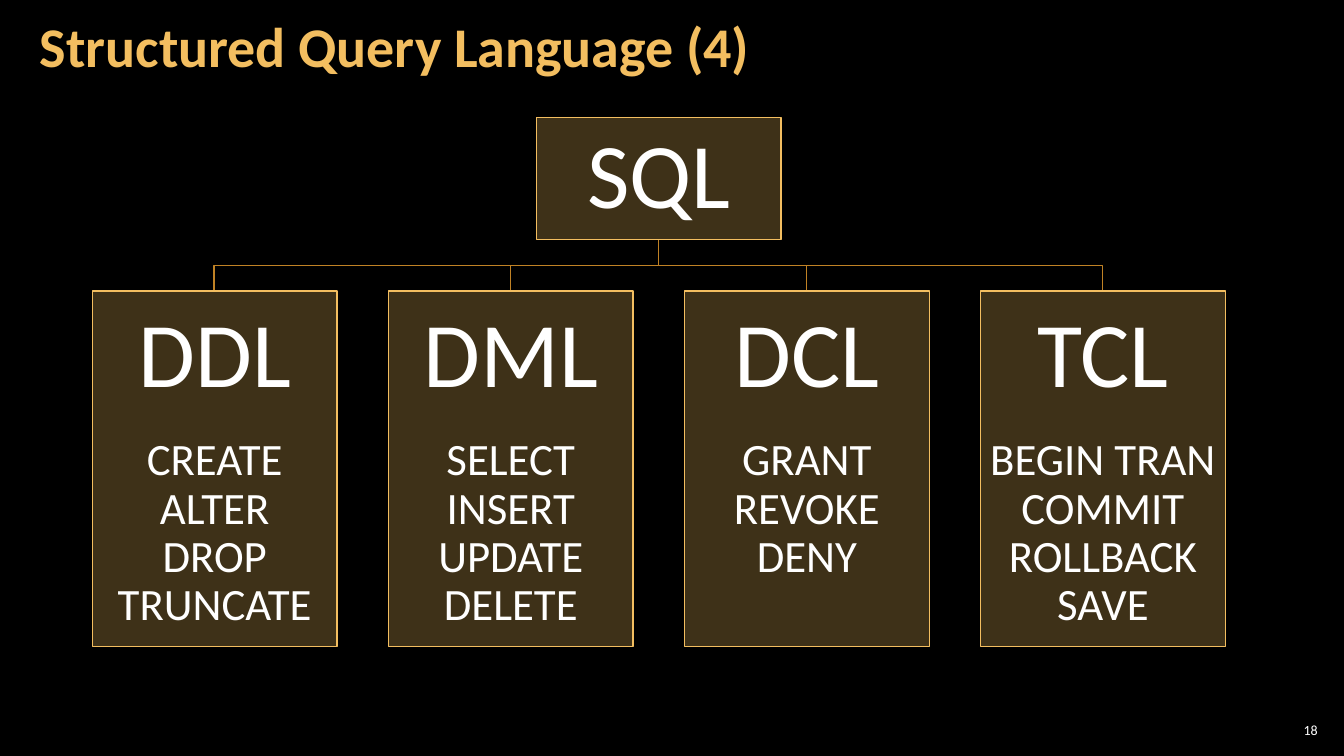
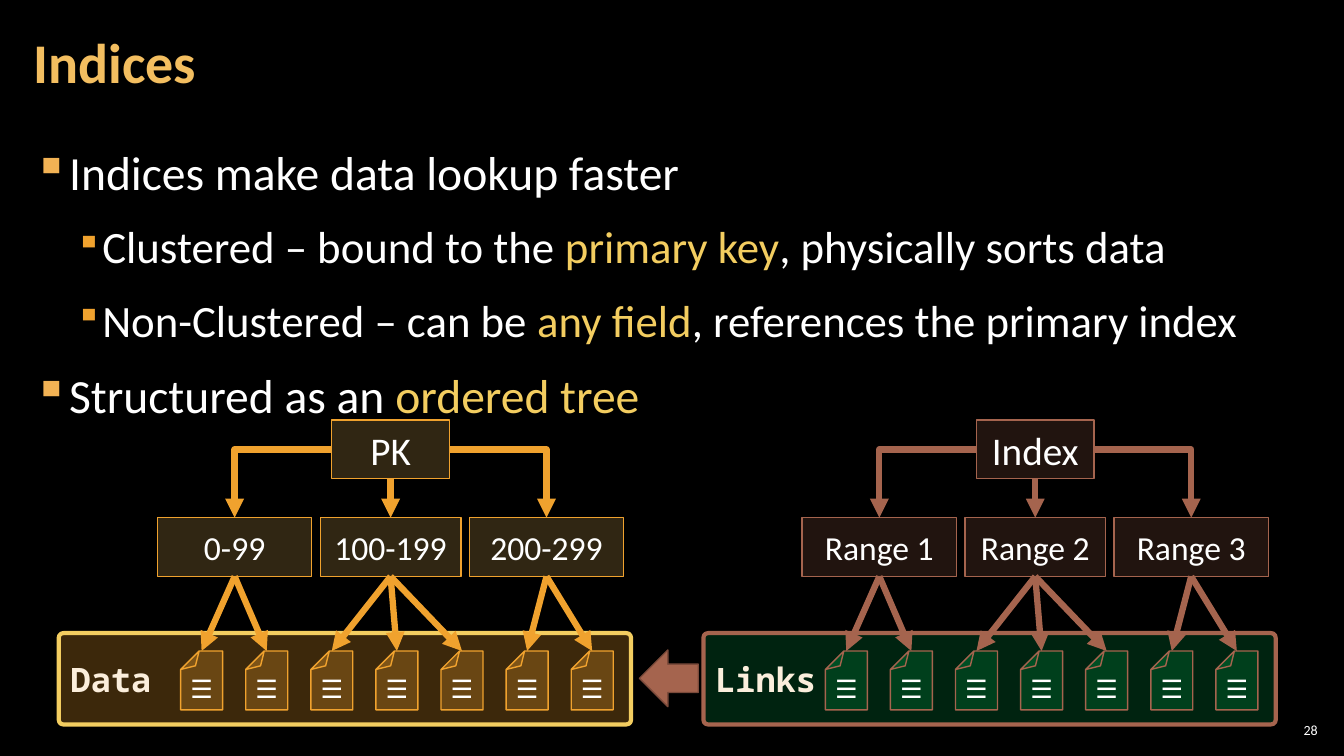
from lxml.etree import SubElement
from pptx import Presentation
from pptx.dml.color import RGBColor
from pptx.enum.shapes import MSO_CONNECTOR, MSO_SHAPE
from pptx.enum.text import MSO_ANCHOR, PP_ALIGN
from pptx.oxml.ns import qn
from pptx.util import Pt

PX = 9525

BLACK = RGBColor(0x00, 0x00, 0x00)
WHITE = RGBColor(0xFF, 0xFF, 0xFF)
GOLD = RGBColor(0xF3, 0xBE, 0x60)
AMBER = RGBColor(0xF0, 0xA2, 0x2E)
YELLOW = RGBColor(0xF3, 0xCD, 0x60)
BULLET_GOLD = RGBColor(0xF2, 0xB2, 0x54)
OCHRE = RGBColor(0xC0, 0x82, 0x25)
CREAM = RGBColor(0xFB, 0xEE, 0xDC)
RUST = RGBColor(0xA5, 0x64, 0x4E)
DARK_RUST = RGBColor(0x7C, 0x4B, 0x3B)
GREEN = RGBColor(0x00, 0xB0, 0x50)

SANS = {"name": "Calibri", "bold": False}
MONO = {"name": "Noto Sans Mono", "bold": True}
TITLE = {**SANS, "size": Pt(40), "bold": True}
NUMBER = {**SANS, "size": Pt(10)}
ACRONYM = {**SANS, "size": Pt(66)}
COMMAND = {**SANS, "size": Pt(32)}
HEAD = {**SANS, "size": Pt(28)}
RANGE = {**SANS, "size": Pt(24)}
STORE = {**MONO, "size": Pt(24)}
ICON = {**MONO, "size": Pt(18)}


def add_box(slide, kind, bounds, fill=None, alpha=100, line=None, width=1,
            margins=(10, 5), anchor=MSO_ANCHOR.MIDDLE):
    bounds = [value * PX for value in bounds]
    if kind is None:
        shape = slide.shapes.add_textbox(*bounds)
    else:
        shape = slide.shapes.add_shape(kind, *bounds)
        shape.shadow.inherit = False
        shape.fill.solid()
        shape.fill.fore_color.rgb = fill
        color = shape._element.spPr.find(qn("a:solidFill"))[0]
        SubElement(color, qn("a:alpha"), val=str(alpha * 1000))
        shape.line.color.rgb = line
        shape.line.width = Pt(width)
    across, down = (margin * PX for margin in margins)
    frame_format = {
        "word_wrap": True, "vertical_anchor": anchor,
        "margin_left": across, "margin_right": across,
        "margin_top": down, "margin_bottom": down,
    }
    for name, value in frame_format.items():
        setattr(shape.text_frame, name, value)
    return shape


def write(shape, pieces, style, align=PP_ALIGN.CENTER):
    frame = shape.text_frame
    paragraph = frame.paragraphs[0]
    if paragraph.runs:
        paragraph = frame.add_paragraph()
    paragraph.alignment = align
    for text, color in pieces:
        run = paragraph.add_run()
        run.text = text
        run.font.color.rgb = color
        for name, value in style.items():
            setattr(run.font, name, value)
    return paragraph


presentation = Presentation()
presentation.slide_width = 1280 * PX
presentation.slide_height = 720 * PX
background = presentation.slide_master.background.fill
background.solid()
background.fore_color.rgb = BLACK

slides = []
for title, number, left, top in [
    ("Structured Query Language (4)", "18", 26, -11),
    ("Indices", "28", 20, 4),
]:
    slide = presentation.slides.add_slide(presentation.slide_layouts[6])
    number_box = add_box(slide, None, (1214, 685, 45, 20), margins=(4, 4))
    write(number_box, [(number, WHITE)], NUMBER, PP_ALIGN.RIGHT)
    title_box = add_box(slide, None, (left, top, 1005, 116), margins=(12, 4))
    write(title_box, [(title, GOLD)], TITLE, PP_ALIGN.LEFT).line_spacing = 0.9
    slides.append(slide)
sql_slide, index_slide = slides

CARD_WIDTH, CARD_TOP, CARD_PITCH, FIRST_CARD = 233, 277, 282, 88
ROOT_LEFT, ROOT_TOP, ROOT_HEIGHT = 511, 112, 116
ROOT_BOTTOM = ROOT_TOP + ROOT_HEIGHT
BRANCH_Y = 253
HALF_CARD = CARD_WIDTH // 2
ROOT_X = ROOT_LEFT + HALF_CARD

families = [
    ("DDL", ["CREATE", "ALTER", "DROP", "TRUNCATE"]),
    ("DML", ["SELECT", "INSERT", "UPDATE", "DELETE"]),
    ("DCL", ["GRANT", "REVOKE", "DENY"]),
    ("TCL", ["BEGIN TRAN", "COMMIT", "ROLLBACK", "SAVE"]),
]
card_lefts = [FIRST_CARD + CARD_PITCH * i for i in range(len(families))]

for left in reversed(card_lefts):
    card_x = left + HALF_CARD
    builder = sql_slide.shapes.build_freeform(ROOT_X, ROOT_BOTTOM, scale=PX)
    builder.add_line_segments(
        [(ROOT_X, BRANCH_Y), (card_x, BRANCH_Y), (card_x, CARD_TOP)], close=False)
    branch = builder.convert_to_shape()
    branch.shadow.inherit = False
    branch.fill.background()
    branch.line.color.rgb = OCHRE
    branch.line.width = Pt(1)

root = add_box(sql_slide, MSO_SHAPE.RECTANGLE,
               (ROOT_LEFT, ROOT_TOP, CARD_WIDTH, ROOT_HEIGHT),
               GOLD, 26, GOLD, margins=(5, 5))
write(root, [("SQL", WHITE)], ACRONYM).line_spacing = 0.9

for left, (family, commands) in zip(card_lefts, families):
    card = add_box(sql_slide, MSO_SHAPE.RECTANGLE,
                   (left, CARD_TOP, CARD_WIDTH, 339), GOLD, 26, GOLD,
                   margins=(5, 16), anchor=MSO_ANCHOR.TOP)
    heading = write(card, [(family, WHITE)], ACRONYM)
    heading.line_spacing = 0.9
    heading.space_after = Pt(21)
    for command in commands:
        write(card, [(command, WHITE)], COMMAND).line_spacing = 0.9

body = add_box(index_slide, None, (20, 129, 1239, 300),
               margins=(12, 4), anchor=MSO_ANCHOR.TOP)
levels = [
    {"size": 34, "left": 32, "hang": 32, "color": BULLET_GOLD, "bullet": 100},
    {"size": 32, "left": 64, "hang": 24, "color": AMBER, "bullet": 80},
]
points = [
    (0, [("Indices make data lookup faster", WHITE)]),
    (1, [("Clustered – bound to the ", WHITE), ("primary key", YELLOW),
         (", physically sorts data", WHITE)]),
    (1, [("Non-Clustered – can be ", WHITE), ("any field", YELLOW),
         (", references the primary index", WHITE)]),
    (0, [("Structured as an ", WHITE), ("ordered tree", YELLOW)]),
]
for position, (depth, pieces) in enumerate(points):
    level = levels[depth]
    paragraph = write(body, pieces, {**SANS, "size": Pt(level["size"])}, PP_ALIGN.LEFT)
    properties = paragraph._p.get_or_add_pPr()
    properties.set("marL", str(level["left"] * PX))
    properties.set("indent", str(-level["hang"] * PX))
    bullet_color = SubElement(properties, qn("a:buClr"))
    SubElement(bullet_color, qn("a:srgbClr"), val=str(level["color"]))
    SubElement(properties, qn("a:buSzPct"), val=str(level["bullet"] * 1000))
    SubElement(properties, qn("a:buChar"), char="▪")
    paragraph_format = {
        "level": depth, "line_spacing": 1.05,
        "space_before": Pt(6 if position else 0), "space_after": Pt(6),
    }
    for name, value in paragraph_format.items():
        setattr(paragraph, name, value)

PAGE_X, PAGE_PITCH, PAGE_TOP = 192, 62, 620
RANGE_TOP, RANGE_GAP, RANGE_HEIGHT = 493, 8, 56
RANGE_WIDTHS = [147, 134, 147]
PAGES_BY_RANGE = [(0, 1), (2, 3, 4), (5, 6)]

trees = [
    {"shift": 0, "head": "PK", "ranges": ["0-99", "100-199", "200-299"],
     "store": "Data", "node": GOLD, "line": AMBER, "edge": YELLOW,
     "fill": AMBER, "alpha": 25},
    {"shift": 614, "head": "Index", "ranges": ["Range 1", "Range 2", "Range 3"],
     "store": "Links", "node": RUST, "line": RUST, "edge": RUST,
     "fill": GREEN, "alpha": 20},
]
for tree in trees:
    shift, line = tree["shift"], tree["line"]
    head = add_box(index_slide, MSO_SHAPE.RECTANGLE, (shift + 316, 400, 112, 56),
                   tree["node"], 20, line)
    write(head, [(tree["head"], WHITE)], HEAD)

    store = add_box(index_slide, MSO_SHAPE.ROUNDED_RECTANGLE,
                    (shift + 56, 603, 545, 87),
                    tree["fill"], tree["alpha"], tree["edge"], 3)
    store.adjustments[0] = 0.05
    write(store, [(tree["store"], CREAM)], STORE, PP_ALIGN.LEFT)

    page_centers = [shift + PAGE_X + PAGE_PITCH * i for i in range(7)]
    for center in page_centers:
        page = add_box(index_slide, MSO_SHAPE.FOLDED_CORNER,
                       (center - 20, PAGE_TOP, 40, 56),
                       tree["fill"], tree["alpha"], line)
        page_geometry = page._element.spPr.find(qn("a:prstGeom"))
        SubElement(page_geometry.find(qn("a:avLst")), qn("a:gd"),
                   name="adj", fmla="val 44000")
        page.rotation = 180
        icon = add_box(index_slide, None, (center - 32, 636, 64, 38),
                       anchor=MSO_ANCHOR.TOP)
        write(icon, [("☰", WHITE)], ICON)

    connectors = []
    left = shift + 150
    for i, (label, width) in enumerate(zip(tree["ranges"], RANGE_WIDTHS)):
        node = add_box(index_slide, MSO_SHAPE.RECTANGLE,
                       (left, RANGE_TOP, width, RANGE_HEIGHT),
                       tree["node"], 20, line)
        write(node, [(label, WHITE)], RANGE)
        left += width + RANGE_GAP

        kind = MSO_CONNECTOR.STRAIGHT if i == 1 else MSO_CONNECTOR.ELBOW
        connector = index_slide.shapes.add_connector(kind, 0, 0, 0, 0)
        connector.begin_connect(head, i + 1)
        connector.end_connect(node, 0)
        if i != 1:
            geometry = connector._element.spPr.find(qn("a:prstGeom"))
            geometry.set("prst", "bentConnector2")
        connectors.append(connector)

        for page_index in PAGES_BY_RANGE[i]:
            connector = index_slide.shapes.add_connector(
                MSO_CONNECTOR.STRAIGHT, 0, 0,
                page_centers[page_index] * PX, PAGE_TOP * PX)
            connector.begin_connect(node, 2)
            connectors.append(connector)

    for connector in connectors:
        connector.line.color.rgb = line
        connector.line.width = Pt(4.5)
        connector_properties = connector._element.spPr
        SubElement(connector_properties.find(qn("a:ln")), qn("a:tailEnd"), type="triangle")
        SubElement(connector_properties, qn("a:effectLst"))

link_arrow = add_box(index_slide, MSO_SHAPE.RIGHT_ARROW, (609, 619, 56, 54),
                     RUST, 100, DARK_RUST)
link_arrow.rotation = 180

presentation.save("out.pptx")
